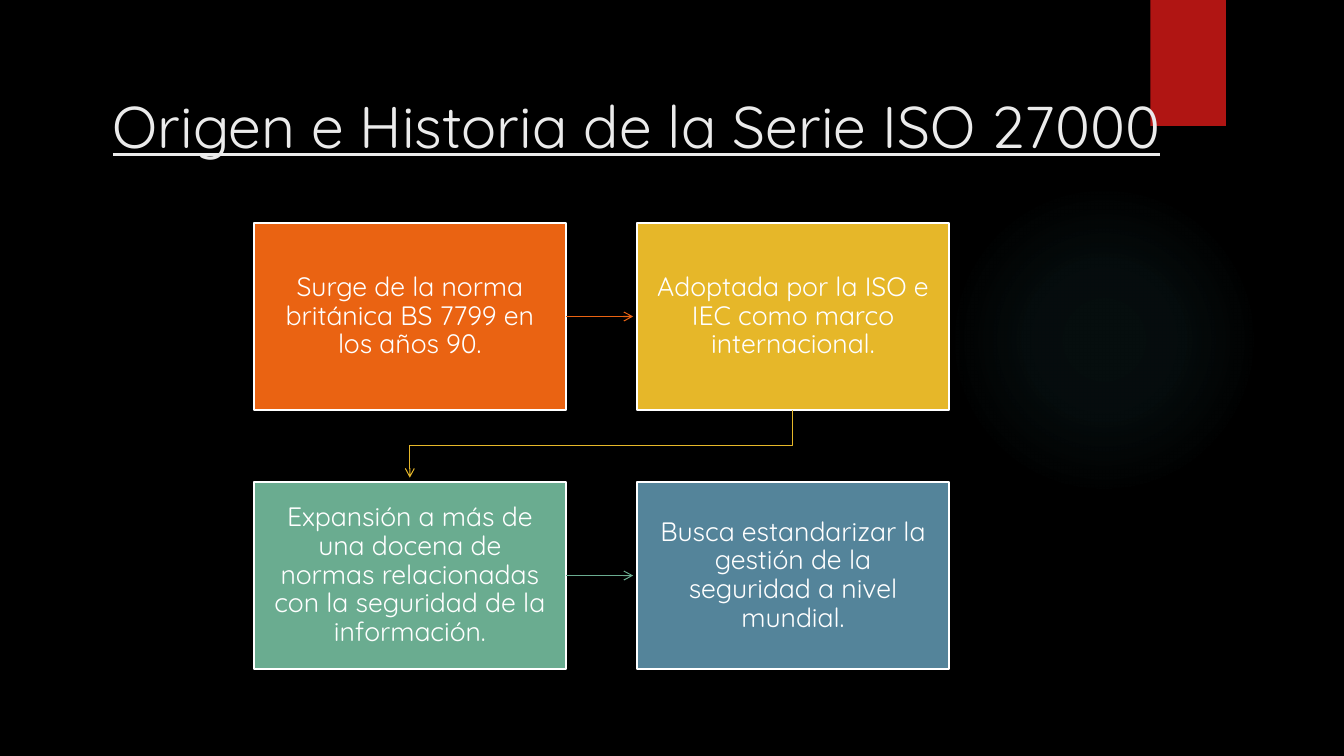
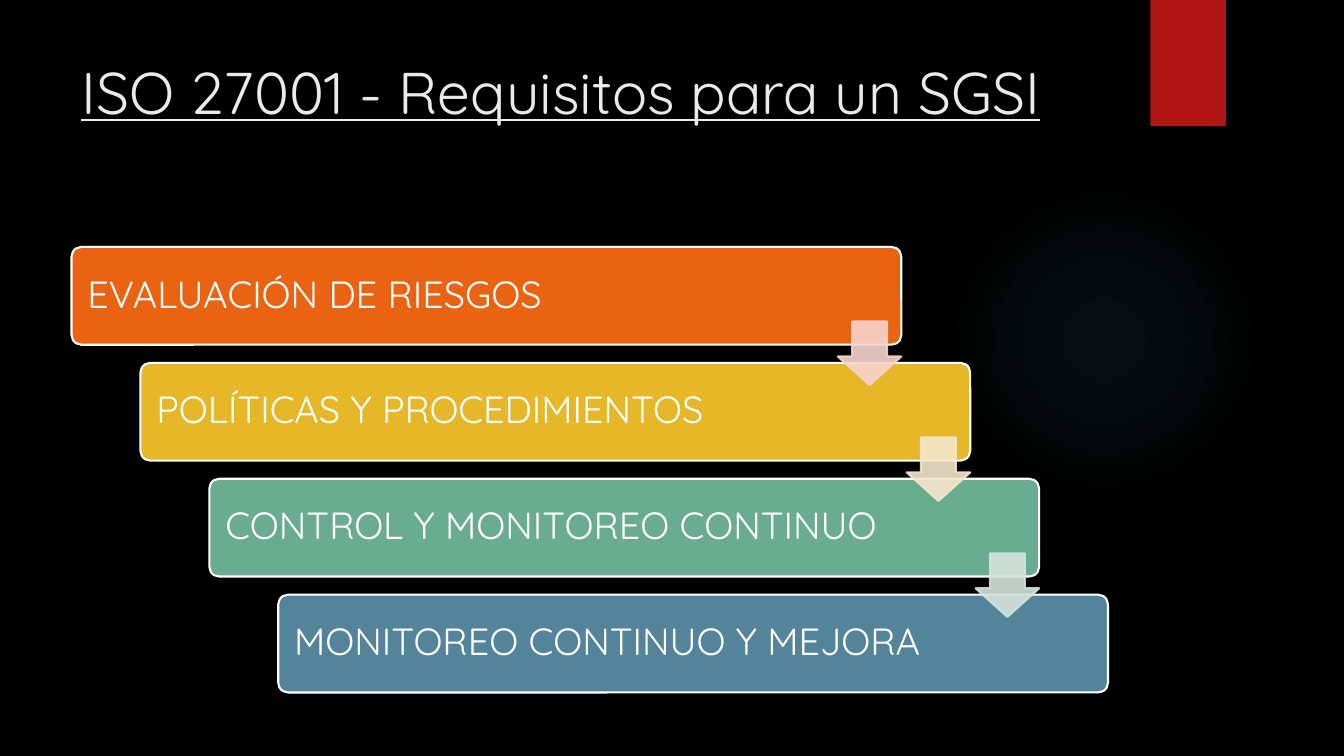
"""Build two slides on the ISO 27000 series and ISO 27001."""
from dataclasses import dataclass

from lxml import etree
import pptx
import pptx.dml.color
import pptx.enum.shapes
import pptx.enum.text
import pptx.oxml
import pptx.oxml.ns
import pptx.util

Inches = pptx.util.Inches
Pt = pptx.util.Pt
qn = pptx.oxml.ns.qn
SHAPE = pptx.enum.shapes.MSO_SHAPE
ALIGN = pptx.enum.text.PP_ALIGN
ANCHOR = pptx.enum.text.MSO_ANCHOR


@dataclass(frozen=True)
class Theme:
    """Colours, font and type sizes shared by the slides."""
    font: str = "Quicksand"
    background: str = "000000"
    title: str = "EBEBEB"
    text: str = "FFFFFF"
    band: str = "B01513"
    glow: str = "50B9C1"
    accents: tuple = ("EA6312", "E6B729", "6AAC90", "54849A")
    tints: tuple = ("F7D3CC", "F5E6CD", "D4E3DB")
    title_size: int = 42
    box_size: int = 19
    bar_size: int = 27
    outline: float = 1.5
    thin: float = 0.75


THEME = Theme()


def rgb(value):
    """Return a hex string as a colour."""
    return pptx.dml.color.RGBColor.from_string(value)


def add_shape(s, kind, at, fill, line=None):
    """Add a flat preset shape, outlined when a line colour is given."""
    sp = s.shapes.add_shape(kind, *map(Inches, at))
    sp.shadow.inherit = False
    sp.fill.solid()
    sp.fill.fore_color.rgb = rgb(fill)
    if line:
        sp.line.color.rgb = rgb(line)
        sp.line.width = Pt(THEME.outline)
    else:
        sp.line.fill.background()
    return sp


def write(sp, text, size, color, align=ALIGN.LEFT, anchor=ANCHOR.MIDDLE,
          insets=(0.1, 0.05), spacing=1.0):
    """Write one styled paragraph into a shape."""
    tf = sp.text_frame
    tf.word_wrap = True
    tf.vertical_anchor = anchor
    tf.margin_left = tf.margin_right = Inches(insets[0])
    tf.margin_top = tf.margin_bottom = Inches(insets[1])
    p = tf.paragraphs[0]
    p.text = text
    p.alignment = align
    p.line_spacing = spacing
    p.font.name = THEME.font
    p.font.size = Pt(size)
    p.font.color.rgb = rgb(color)
    return p


def add_glow(s):
    """Add the faint radial glow."""
    sp = add_shape(s, SHAPE.OVAL, (9.41, 1.83, 3.08, 3.08), THEME.glow)
    stops = "".join(
        f'<a:gs pos="{pos * 1000}"><a:srgbClr val="{THEME.glow}">'
        f'<a:alpha val="{alpha * 1000}"/></a:srgbClr></a:gs>'
        for pos, alpha in ((0, 7), (36, 6), (69, 0)))
    grad = pptx.oxml.parse_xml(
        '<a:gradFill xmlns:a="http://schemas.openxmlformats.org/drawingml/2006/main">'
        f'<a:gsLst>{stops}</a:gsLst><a:path path="circle">'
        '<a:fillToRect l="50000" t="50000" r="50000" b="50000"/></a:path></a:gradFill>')
    spPr = sp._element.spPr
    spPr.replace(spPr.find(qn("a:solidFill")), grad)


def add_slide(prs, title, at):
    """Add a slide with the background, glow, band and title."""
    s = prs.slides.add_slide(prs.slide_layouts[6])
    s.background.fill.solid()
    s.background.fill.fore_color.rgb = rgb(THEME.background)
    add_glow(s)
    add_shape(s, SHAPE.RECTANGLE, (11.41, 0, 0.75, 1.25), THEME.band)
    box = s.shapes.add_textbox(*map(Inches, at))
    p = write(box, title, THEME.title_size, THEME.title, anchor=ANCHOR.TOP)
    p.font.underline = True
    return s


def add_arrow(s, points, color):
    """Add a thin arrow, straight or bent, through the points."""
    points = [(Inches(x), Inches(y)) for x, y in points]
    if len(points) == 2:
        arrow = s.shapes.add_connector(
            pptx.enum.shapes.MSO_CONNECTOR.STRAIGHT, *points[0], *points[1])
    else:
        builder = s.shapes.build_freeform(*points[0])
        builder.add_line_segments(points[1:], close=False)
        arrow = builder.convert_to_shape()
        arrow.fill.background()
    arrow.line.color.rgb = rgb(color)
    arrow.line.width = Pt(THEME.thin)
    spPr = arrow._element.spPr
    etree.SubElement(spPr.find(qn("a:ln")), qn("a:tailEnd"), type="arrow")
    etree.SubElement(spPr, qn("a:effectLst"))


def add_flow(s, texts):
    """Add a two-column grid of boxes joined in reading order."""
    left, top, width, height = 2.52, 2.21, 3.09, 1.86
    step_x, step_y, gap = 3.8, 2.57, 0.04
    spots = [(left + i % 2 * step_x, top + i // 2 * step_y) for i in range(len(texts))]
    for (x, y), text, color in zip(spots, texts, THEME.accents):
        sp = add_shape(s, SHAPE.RECTANGLE, (x, y, width, height), color, THEME.text)
        write(sp, text, THEME.box_size, THEME.text, ALIGN.CENTER,
              insets=(0.15, 0.16), spacing=0.9)
    for (x, y), (next_x, next_y), color in zip(spots, spots[1:], THEME.accents):
        if y == next_y:
            middle = y + height / 2
            points = [(x + width, middle), (next_x - gap, middle)]
        else:
            start, end = x + width / 2, next_x + width / 2
            middle = (y + height + next_y) / 2
            points = [(start, y + height), (start, middle),
                      (end, middle), (end, next_y - gap)]
        add_arrow(s, points, color)


def add_staircase(s, texts):
    """Add stepped bars with a translucent arrow between neighbours."""
    left, top, width, height = 0.71, 2.45, 8.23, 0.97
    step_x, step_y, size, drop = 2.05 / 3, 1.15, 0.63, 0.74
    spots = [(left + i * step_x, top + i * step_y) for i in range(len(texts))]
    for (x, y), text, color in zip(spots, texts, THEME.accents):
        sp = add_shape(s, SHAPE.ROUNDED_RECTANGLE, (x, y, width, height),
                       color, THEME.text)
        sp.adjustments[0] = 0.1
        write(sp, text, THEME.bar_size, THEME.text, insets=(0.13, 0.13), spacing=0.9)
    for (x, y), tint in zip(spots, THEME.tints):
        sp = add_shape(s, SHAPE.DOWN_ARROW,
                       (x + width - size, y + drop, size, size), tint, tint)
        sp.adjustments[0], sp.adjustments[1] = 0.55, 0.45
        for clr in sp._element.spPr.iter(qn("a:srgbClr")):
            etree.SubElement(clr, qn("a:alpha"), val="90000")


def main():
    """Build and save the presentation."""
    prs = pptx.Presentation()
    prs.slide_width, prs.slide_height = Inches(13.33), Inches(7.5)
    s = add_slide(prs, "Origen e Historia de la Serie ISO 27000",
                  (1.02, 0.84, 11.11, 1.53))
    add_flow(s, (
        "Surge de la norma británica BS 7799 en los años 90.",
        "Adoptada por la ISO e IEC como marco internacional.",
        "Expansión a más de una docena de normas relacionadas "
        "con la seguridad de la información.",
        "Busca estandarizar la gestión de la seguridad a nivel mundial."))
    s = add_slide(prs, "ISO 27001 - Requisitos para un SGSI",
                  (0.71, 0.5, 10.29, 1.53))
    add_staircase(s, (
        "EVALUACIÓN DE RIESGOS",
        "POLÍTICAS Y PROCEDIMIENTOS",
        "CONTROL Y MONITOREO CONTINUO",
        "MONITOREO CONTINUO Y MEJORA"))
    prs.save("out.pptx")


if __name__ == "__main__":
    main()
